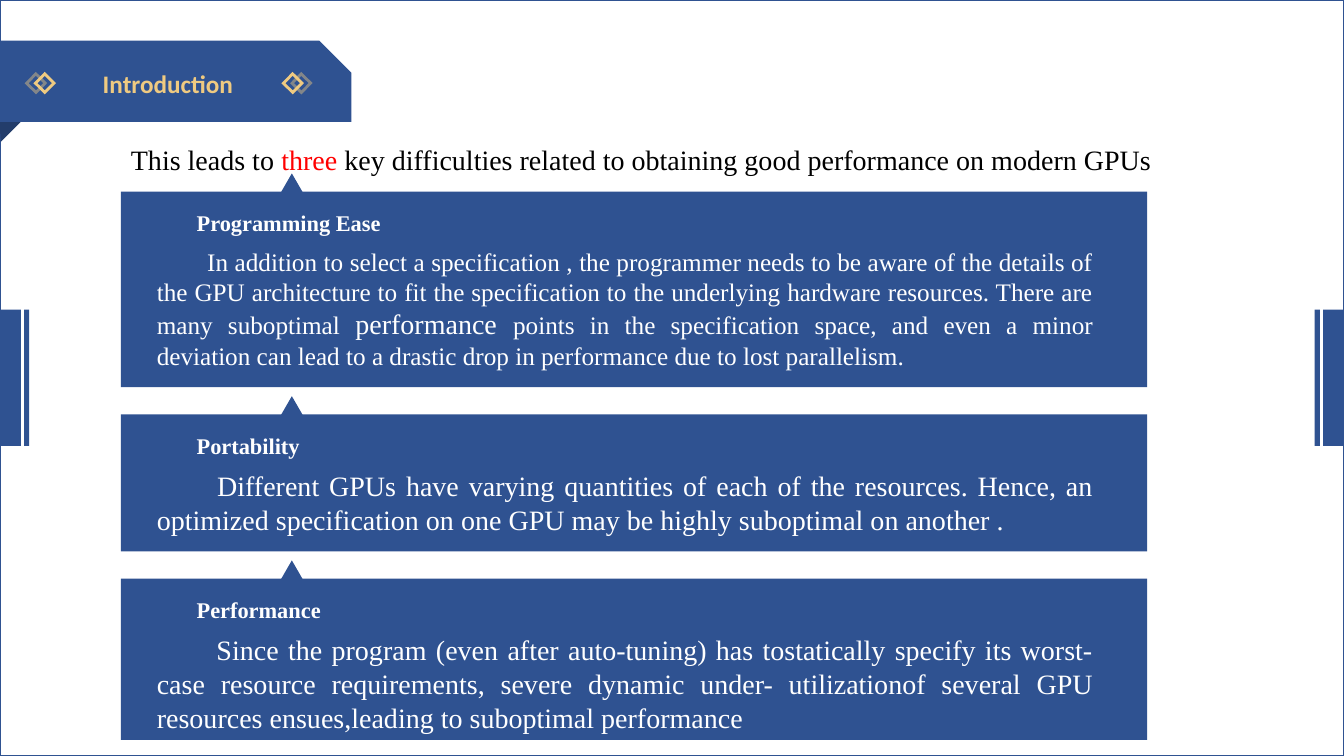
import pptx
import pptx.dml.color
import pptx.enum.shapes
import pptx.enum.text
import pptx.oxml
import pptx.oxml.ns
import pptx.util

Pt = pptx.util.Pt
RGBColor = pptx.dml.color.RGBColor
Shape = pptx.enum.shapes.MSO_SHAPE
Align = pptx.enum.text.PP_ALIGN
Anchor = pptx.enum.text.MSO_ANCHOR

BLUE = RGBColor(0x2F, 0x52, 0x91)
DARK_BLUE = RGBColor(0x23, 0x3D, 0x6B)
GOLD = RGBColor(0xEF, 0xCA, 0x81)
WHITE = RGBColor(0xFF, 0xFF, 0xFF)
BLACK = RGBColor(0, 0, 0)
RED = RGBColor(0xFF, 0, 0)
SERIF = "Times New Roman"
PAGE_WIDTH, PAGE_HEIGHT = 960, 540

# Each panel: height, heading, and body runs as (text, size)
PANELS = [
    (139.7, "Programming Ease", [
        ("In addition to select a specification , the programmer needs to be aware of "
         "the details of the GPU architecture to fit the specification to the underlying "
         "hardware resources. There are many suboptimal ", 18),
        ("performance ", 20),
        ("points in the specification space, and even a minor deviation can lead to a "
         "drastic drop in performance due to lost parallelism.", 18)]),
    (97.9, "Portability", [
        (" Different GPUs have varying quantities of each of the resources. Hence, an "
         "optimized specification on one GPU may be highly suboptimal on another . ", 20)]),
    (115.2, "Performance", [
        (" Since the program (even after auto-tuning) has tostatically specify its "
         "worst-case resource requirements, severe dynamic under- utilizationof several "
         "GPU resources ensues,leading to suboptimal performance", 20)]),
]


def add_filled(page, kind, left, top, width, height, color=BLUE):
    shape = page.shapes.add_shape(kind, Pt(left), Pt(top), Pt(width), Pt(height))
    shape.shadow.inherit = False
    shape.fill.solid()
    shape.fill.fore_color.rgb = color
    shape.line.fill.background()
    return shape


def add_outlined(page, left, top, width, height, color, weight):
    shape = add_filled(page, Shape.RECTANGLE, left, top, width, height)
    shape.fill.background()
    shape.line.color.rgb = color
    shape.line.width = Pt(weight)
    return shape


def add_paragraph_box(page, left, top, width, height):
    """Add a wrapping text box and return its first paragraph."""
    box = page.shapes.add_textbox(Pt(left), Pt(top), Pt(width), Pt(height))
    box.text_frame.word_wrap = True
    para = box.text_frame.paragraphs[0]
    para.font.name = SERIF
    return para


def add_diamond(page, left, top, faded):
    size = 9.4
    diamond = add_outlined(page, left, top, size, size, GOLD, 2)
    diamond.rotation = 134.5
    outline = diamond.line._get_or_add_ln()
    namespace = pptx.oxml.ns.nsdecls("a")
    outline.append(pptx.oxml.parse_xml(f'<a:miter {namespace} lim="800000"/>'))
    if faded:
        color = outline.find(".//" + pptx.oxml.ns.qn("a:srgbClr"))
        color.append(pptx.oxml.parse_xml(f'<a:alpha {namespace} val="44000"/>'))


def add_banner(page, top, width, height):
    """Draw the title ribbon with its folded corner and paired diamonds."""
    fold = add_filled(page, Shape.ISOSCELES_TRIANGLE,
                      -7.9, top + height - 5.9, 24.5, 13.7, DARK_BLUE)
    fold.rotation = 315
    cut = 23
    builder = page.shapes.build_freeform(Pt(0), Pt(top))
    builder.add_line_segments([
        (Pt(width - cut), Pt(top)), (Pt(width), Pt(top + cut)),
        (Pt(width), Pt(top + height)), (Pt(0), Pt(top + height))])
    ribbon = builder.convert_to_shape()
    ribbon.shadow.inherit = False
    ribbon.fill.solid()
    ribbon.fill.fore_color.rgb = BLUE
    ribbon.line.fill.background()

    for left, faded in ((20.9, True), (27.2, False), (204.3, False), (210.5, True)):
        add_diamond(page, left, top + 25.7, faded)

    title = page.shapes.title
    # The title text belongs in front of the ribbon
    page.shapes._spTree.append(title._element)
    title.left, title.top, title.width, title.height = (
        Pt(66.2), Pt(top + 15.8), Pt(125), Pt(29))
    frame = title.text_frame
    frame.text = "Introduction"
    frame.word_wrap = False
    frame.auto_size = pptx.enum.text.MSO_AUTO_SIZE.NONE
    frame.vertical_anchor = Anchor.MIDDLE
    para = frame.paragraphs[0]
    para.alignment = Align.LEFT
    para.font.name = "Calibri"
    para.font.size = Pt(18)
    para.font.bold = True
    para.font.color.rgb = GOLD


def add_side_tabs(page, top, height):
    """Draw a tab and a thin strip on the left edge, mirrored on the right."""
    for offset, width in ((0, 14.9), (17.2, 3.7)):
        for left in (offset, PAGE_WIDTH - offset - width):
            add_filled(page, Shape.RECTANGLE, left, top, width, height)


def add_lead(page, left, top, width, height):
    para = add_paragraph_box(page, left, top, width, height)
    para.font.size = Pt(20)
    for text, color in (
            ("This leads to ", BLACK), ("three", RED),
            (" key difficulties related to obtaining good performance on modern GPUs", BLACK)):
        span = para.add_run()
        span.text = text
        span.font.color.rgb = color


def add_panel(page, left, top, width, height, heading, body):
    add_filled(page, Shape.ISOSCELES_TRIANGLE, left + 111.3, top - 13, 21.6, 18.7)
    add_filled(page, Shape.RECTANGLE, left, top, width, height)

    para = add_paragraph_box(page, left + 47, top + 9.2, 150.5, 26.6)
    para.text = heading
    para.font.size = Pt(16)
    para.font.bold = True
    para.font.color.rgb = WHITE

    para = add_paragraph_box(page, left + 18.5, top + 35.2, width - 49.7, height - 42.5)
    para.alignment = Align.JUSTIFY
    para.font.color.rgb = WHITE
    properties = para._p.get_or_add_pPr()
    properties.set("marL", "0")
    properties.set("indent", str(Pt(36)))
    for text, size in body:
        span = para.add_run()
        span.text = text
        span.font.size = Pt(size)


def build_introduction(deck):
    page = deck.slides.add_slide(deck.slide_layouts.get_by_name("Title Only"))
    add_outlined(page, 0, 0, PAGE_WIDTH, PAGE_HEIGHT, BLUE, 1)
    add_banner(page, 29, 251, 58)
    add_side_tabs(page, 221.2, 97.3)
    add_lead(page, 86.4, 98.2, 755.3, 31.5)
    top, gap = 136.9, 19.4
    for height, heading, body in PANELS:
        add_panel(page, 86.4, top, 733, height, heading, body)
        top += height + gap


def main():
    deck = pptx.Presentation()
    deck.slide_width, deck.slide_height = Pt(PAGE_WIDTH), Pt(PAGE_HEIGHT)
    build_introduction(deck)
    deck.save("out.pptx")


if __name__ == "__main__":
    main()
